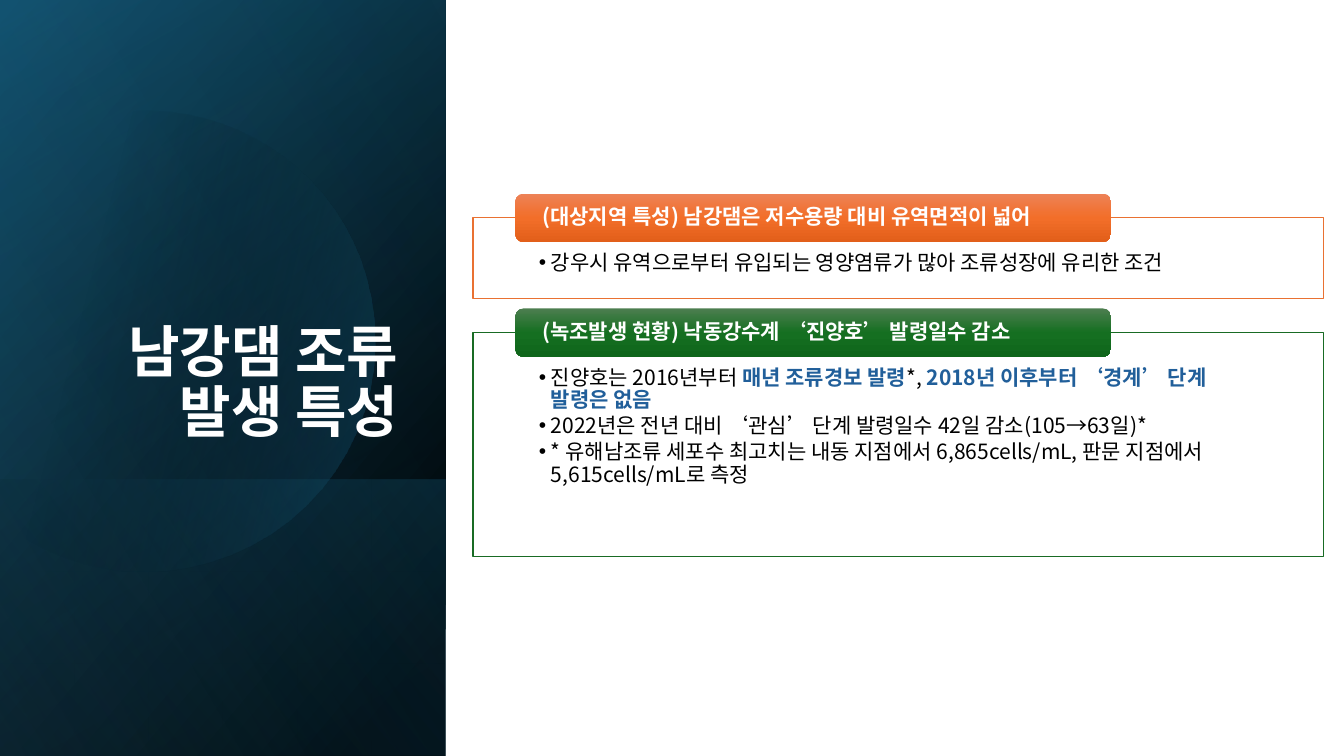
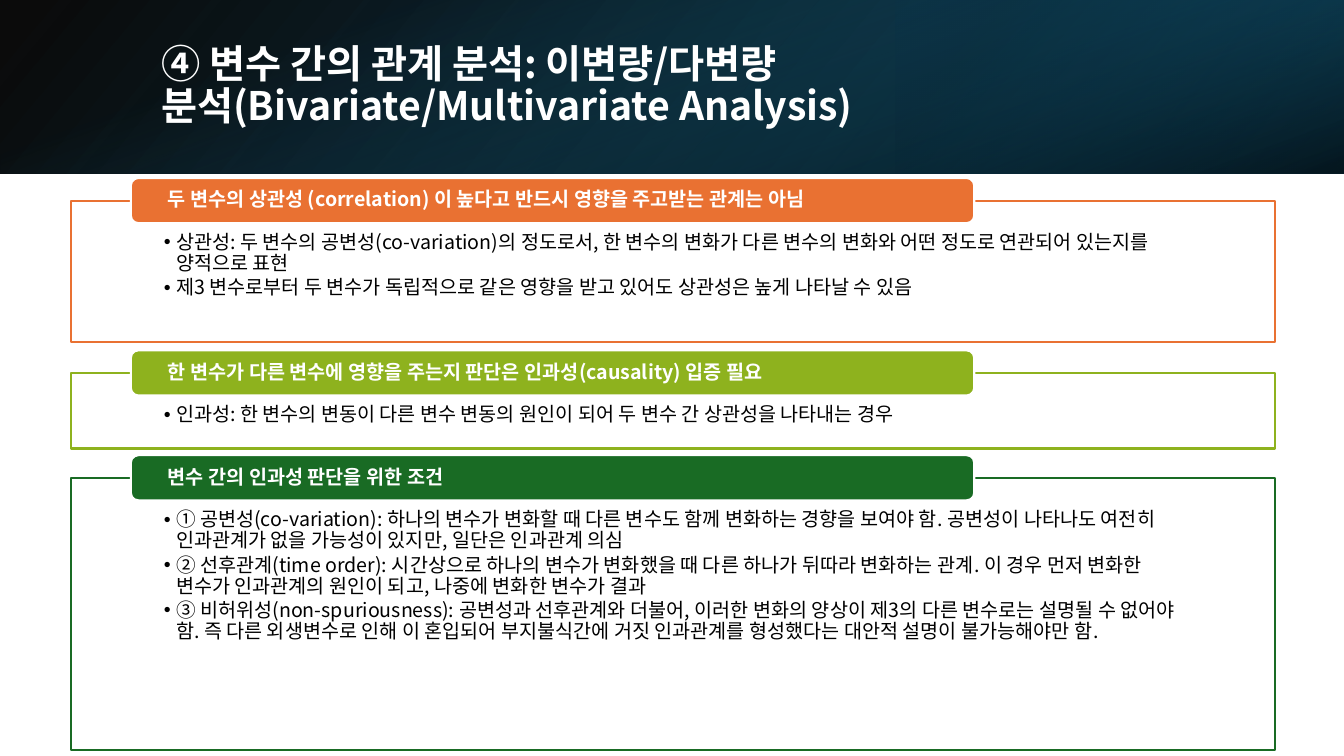
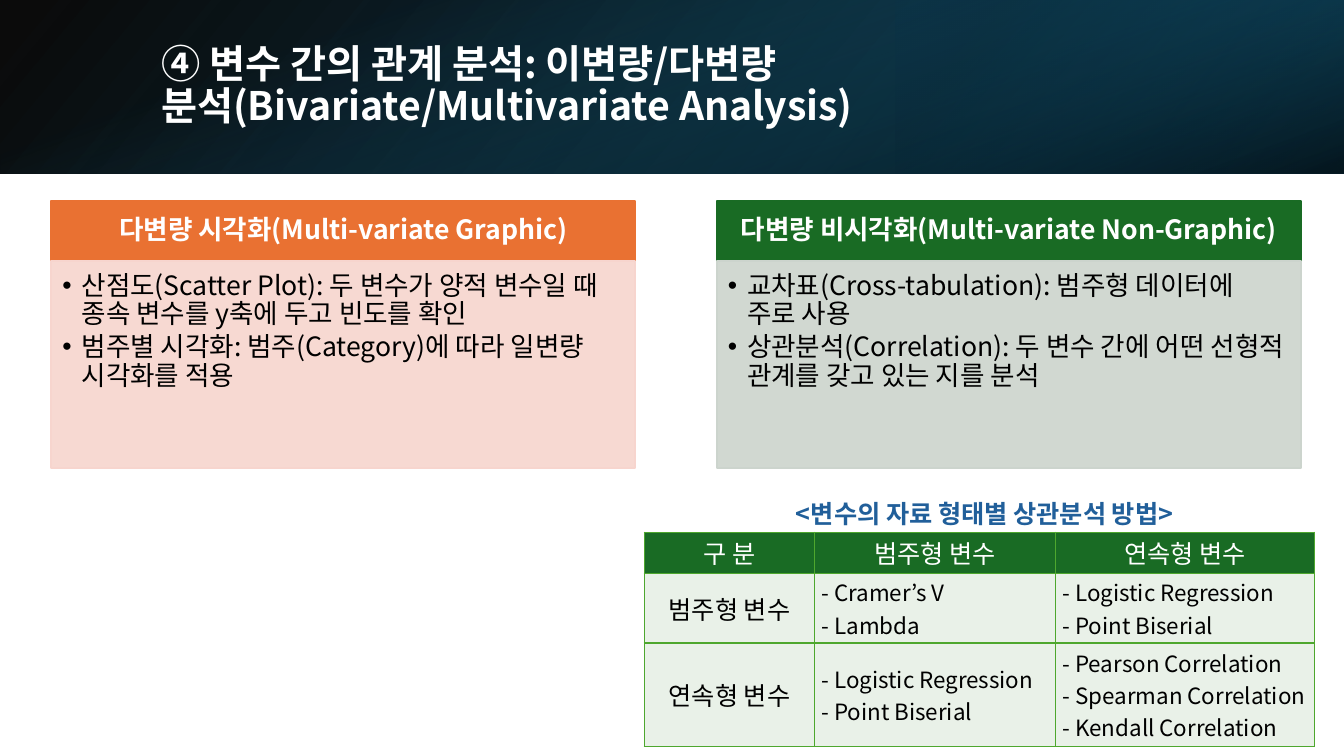
from lxml.etree import SubElement
from pptx import Presentation
from pptx.dml.color import RGBColor
from pptx.enum.shapes import MSO_SHAPE
from pptx.enum.text import MSO_ANCHOR, PP_ALIGN
from pptx.oxml.ns import qn
from pptx.util import Inches, Pt

FONT = "Noto Sans CJK KR"
WHITE, BLACK = "FFFFFF", "000000"
NAVY, TEAL, SKY, DEEP = "104862", "156082", "46B1E1", "0B3041"
ORANGE, LIME, GREEN, BLUE = "E97132", "8EB21E", "196B24", "215F9A"
PINK, SAGE, MINT, GRID = "F7D5CE", "CCD4CD", "E9F1E8", "4EA72E"
ORANGE_GLOSS = [(0, "ED8257"), (50, "F26E29"), (100, "E25F1A")]
GREEN_GLOSS = [(0, "4D7E50"), (50, "156F21"), (100, "0F661B")]

ANALYSIS_TITLE = "④ 변수 간의 관계 분석: 이변량/다변량 분석(Bivariate/Multivariate Analysis)"


def color(value):
    return RGBColor.from_string(value)


def style(span, size, tint, bold=False):
    font = span.font
    font.size, font.bold, font.name = Pt(size), bold, FONT
    font.color.rgb = color(tint)
    SubElement(span._r.get_or_add_rPr(), qn("a:ea"), typeface=FONT)


def set_insets(target, left, top, right, bottom):
    target.margin_left, target.margin_top = Inches(left), Inches(top)
    target.margin_right, target.margin_bottom = Inches(right), Inches(bottom)


def write(frame, paragraphs, size, tint, bold=False, align=PP_ALIGN.LEFT,
          anchor=MSO_ANCHOR.MIDDLE, insets=(0.1, 0.05, 0.1, 0.05), spacing=0.9,
          after=0, bullet=0):
    frame.word_wrap = True
    frame.vertical_anchor = anchor
    set_insets(frame, *insets)
    for index, content in enumerate(paragraphs):
        para = frame.paragraphs[0] if index == 0 else frame.add_paragraph()
        para.alignment, para.line_spacing = align, spacing
        para.space_after = Pt(after)
        if bullet:
            props = para._p.get_or_add_pPr()
            props.set("marL", str(Inches(bullet)))
            props.set("indent", str(-Inches(bullet)))
            SubElement(props, qn("a:buFont"), typeface="Arial")
            SubElement(props, qn("a:buChar"), char="•")
        pieces = [(content, False)] if isinstance(content, str) else content
        for text, marked in pieces:
            span = para.add_run()
            span.text = text
            style(span, size, BLUE if marked else tint, bold or marked)


def add_text(page, box, paragraphs, size, tint, **options):
    shape = page.shapes.add_textbox(*map(Inches, box))
    write(shape.text_frame, paragraphs, size, tint, **options)


def set_gradient(shape, stops, angle):
    shape.shadow.inherit = False
    shape.line.fill.background()
    shape.fill.background()
    props = shape._element.spPr
    gradient = SubElement(props, qn("a:gradFill"), rotWithShape="1")
    stop_list = SubElement(gradient, qn("a:gsLst"))
    for position, tint, *opacity in stops:
        stop = SubElement(stop_list, qn("a:gs"), pos=str(position * 1000))
        value = SubElement(stop, qn("a:srgbClr"), val=tint)
        if opacity:
            SubElement(value, qn("a:alpha"), val=str(opacity[0] * 1000))
    SubElement(gradient, qn("a:lin"), ang=str(round(angle * 60000)), scaled="0")
    props.replace(props.find(qn("a:noFill")), gradient)


def add_glow(page, box, stops, angle, turn=0, flip=True):
    left, top, width, height = box
    if turn == 90:
        left, top = left + (width - height) / 2, top + (height - width) / 2
        width, height = height, width
    shape = page.shapes.add_shape(
        MSO_SHAPE.RECTANGLE, Inches(left), Inches(top), Inches(width), Inches(height))
    shape.rotation = turn
    if flip:
        shape._element.spPr.xfrm.set("flipH", "1")
    set_gradient(shape, stops, angle)


def add_block(page, kind, box, fill, line=None, width=1.5, opacity=100):
    shape = page.shapes.add_shape(kind, *map(Inches, box))
    shape.shadow.inherit = False
    if isinstance(fill, list):
        set_gradient(shape, fill, 90)
        return shape
    shape.fill.solid()
    shape.fill.fore_color.rgb = color(fill)
    shape.line.fill.background()
    if line:
        shape.line.color.rgb = color(line)
        shape.line.width = Pt(width)
    if opacity < 100:
        value = shape._element.spPr.find(qn("a:solidFill")).find(qn("a:srgbClr"))
        SubElement(value, qn("a:alpha"), val=str(opacity * 1000))
    return shape


def curve_points(start, controls, steps=16):
    points = [start, *controls]
    for step in range(1, steps + 1):
        t = step / steps
        weights = ((1 - t) ** 3, 3 * t * (1 - t) ** 2, 3 * t * t * (1 - t), t ** 3)
        yield tuple(sum(w * p[axis] for w, p in zip(weights, points)) for axis in (0, 1))


def add_disc(page):
    start = (1.49, 1.1)
    right_arcs = [((2.46, 1.12), (3.35, 1.77), (3.63, 2.75)),
                  ((3.98, 3.97), (3.28, 5.23), (2.07, 5.58)),
                  ((1.31, 5.8), (0.53, 5.61), (-0.03, 5.14))]
    left_arcs = [((0.23, 1.42), (0.5, 1.28), (0.8, 1.19)),
                 ((1.03, 1.13), (1.26, 1.1), start)]
    outline = [start]
    for arc in right_arcs:
        outline += curve_points(outline[-1], arc)
    outline += [(-0.15, 5.03), (-0.15, 1.75), (0, 1.61)]
    for arc in left_arcs:
        outline += curve_points(outline[-1], arc)
    corners = [(Inches(x), Inches(y)) for x, y in outline]
    builder = page.shapes.build_freeform(*corners[0])
    builder.add_line_segments(corners[1:], close=True)
    set_gradient(builder.convert_to_shape(), [(29, BLACK, 0), (100, TEAL, 43)], 14)


def add_side_panel(page, box, title):
    left, top, width, height = box
    add_glow(page, box, [(8, BLACK), (100, NAVY)], 50, 90)
    add_glow(page, box, [(0, BLACK, 0), (99, TEAL, 46)], 30, 90)
    add_glow(page, (left, top + height - 2.74, width, 2.74),
             [(2, TEAL, 29), (100, BLACK, 30)], 130, 90)
    add_disc(page)
    add_glow(page, box, [(0, BLACK, 0), (99, SKY, 11)], 120, 90)
    add_text(page, (left + 0.64, top + 1.84, 3.41, 2.62), [title], 40, WHITE,
             bold=True, align=PP_ALIGN.RIGHT, anchor=MSO_ANCHOR.BOTTOM)


def add_title_band(page, box, title):
    left, top, width, height = box
    add_glow(page, box, [(0, BLACK, 96), (100, NAVY)], 140)
    add_glow(page, (left + width * 2 / 3, top, width / 3, height),
             [(19, DEEP, 68), (100, TEAL, 79)], 320, 180)
    add_glow(page, box, [(23, TEAL, 0), (99, BLACK, 74)], 340, 90, flip=False)
    add_text(page, (left + 1.5, top + 0.38, 10.98, 0.96), [title], 28, WHITE, bold=True)


def add_section(page, box, heading, bullets, accent, size, tab_fill=None, line_width=1.5):
    left, top, width, height = box
    side, tab_height = width * 0.0775, size * 0.032
    frame = add_block(page, MSO_SHAPE.RECTANGLE, box, WHITE, accent, line_width, 90)
    write(frame.text_frame, bullets, size, BLACK, anchor=MSO_ANCHOR.TOP,
          insets=(side, size * 0.0227, side, 0.11), after=size * 0.15, bullet=0.12)
    tab = add_block(page, MSO_SHAPE.ROUNDED_RECTANGLE,
                    (left + width * 0.05, top - tab_height / 2, width * 0.7, tab_height),
                    tab_fill or accent, WHITE)
    write(tab.text_frame, [heading], size, WHITE, bold=True,
          insets=(width * 0.029, 0, width * 0.029, 0))


def add_card(page, box, heading, bullets, accent, tint):
    left, top, width, height = box
    head_height = 0.6
    head = add_block(page, MSO_SHAPE.RECTANGLE, (left, top, width, head_height), accent, accent)
    write(head.text_frame, [heading], 19, WHITE, bold=True, align=PP_ALIGN.CENTER,
          insets=(0.15, 0.08, 0.15, 0.08))
    body = add_block(page, MSO_SHAPE.RECTANGLE,
                     (left, top + head_height, width, height - head_height), tint, tint,
                     opacity=90)
    write(body.text_frame, bullets, 19, BLACK, anchor=MSO_ANCHOR.TOP,
          insets=(0.11, 0.11, 0.15, 0.17), after=2.85, bullet=0.19)


def set_borders(cell, tint, width):
    props = cell._tc.get_or_add_tcPr()
    for index, side in enumerate(("a:lnL", "a:lnR", "a:lnT", "a:lnB")):
        line = props.makeelement(qn(side), {"w": str(Pt(width))})
        SubElement(SubElement(line, qn("a:solidFill")), qn("a:srgbClr"), val=tint)
        props.insert(index, line)


def add_method_table(page, box, rows, column_widths, row_heights):
    table = page.shapes.add_table(len(rows), len(rows[0]), *map(Inches, box)).table
    table.first_row = table.horz_banding = False
    for column, width in zip(table.columns, column_widths):
        column.width = Inches(width)
    for row, height in zip(table.rows, row_heights):
        row.height = Inches(height)
    for row_index, row in enumerate(rows):
        for column_index, content in enumerate(row):
            cell = table.cell(row_index, column_index)
            header = row_index == 0
            label = header or column_index == 0
            cell.fill.solid()
            cell.fill.fore_color.rgb = color(GREEN if header else MINT)
            cell.vertical_anchor = MSO_ANCHOR.MIDDLE
            set_insets(cell, 0.07, 0.02, 0.07, 0.02)
            set_borders(cell, GRID, 1)
            cell.text = content
            for para in cell.text_frame.paragraphs:
                para.alignment = PP_ALIGN.CENTER if label else PP_ALIGN.LEFT
                for span in para.runs:
                    style(span, 18 if label else 16, WHITE if header else BLACK)


def build_dam_page(page):
    add_side_panel(page, (0, 0, 4.42, 7.5), "남강댐 조류 발생 특성")
    add_section(page, (4.69, 2.16, 8.44, 0.8),
                "(대상지역 특성) 남강댐은 저수용량 대비 유역면적이 넓어",
                ["강우시 유역으로부터 유입되는 영양염류가 많아 조류성장에 유리한 조건"],
                ORANGE, 15, ORANGE_GLOSS, 1)
    add_section(page, (4.69, 3.3, 8.44, 2.22),
                "(녹조발생 현황) 낙동강수계 ‘진양호’ 발령일수 감소",
                [[("진양호는 2016년부터 ", False), ("매년 조류경보 발령", True), ("*, ", False),
                  ("2018년 이후부터 ‘경계’ 단계 발령은 없음", True)],
                 "2022년은 전년 대비 ‘관심’ 단계 발령일수 42일 감소(105→63일)*",
                 "* 유해남조류 세포수 최고치는 내동 지점에서 6,865cells/mL, "
                 "판문 지점에서 5,615cells/mL로 측정"],
                GREEN, 15, GREEN_GLOSS, 1)


def build_causality_page(page):
    add_title_band(page, (0, 0, 13.33, 1.72), ANALYSIS_TITLE)
    sections = [
        (1.99, 1.4, ORANGE,
         "두 변수의 상관성 (correlation) 이 높다고 반드시 영향을 주고받는 관계는 아님",
         ["상관성: 두 변수의 공변성(co-variation)의 정도로서, 한 변수의 변화가 다른 변수의 "
          "변화와 어떤 정도로 연관되어 있는지를 양적으로 표현",
          "제3 변수로부터 두 변수가 독립적으로 같은 영향을 받고 있어도 상관성은 높게 나타날 수 있음"]),
        (3.7, 0.75, LIME,
         "한 변수가 다른 변수에 영향을 주는지 판단은 인과성(causality) 입증 필요",
         ["인과성: 한 변수의 변동이 다른 변수 변동의 원인이 되어 두 변수 간 상관성을 나타내는 경우"]),
        (4.74, 2.7, GREEN,
         "변수 간의 인과성 판단을 위한 조건",
         ["① 공변성(co-variation): 하나의 변수가 변화할 때 다른 변수도 함께 변화하는 경향을 "
          "보여야 함. 공변성이 나타나도 여전히 인과관계가 없을 가능성이 있지만, 일단은 인과관계 의심",
          "② 선후관계(time order): 시간상으로 하나의 변수가 변화했을 때 다른 하나가 뒤따라 변화하는 "
          "관계. 이 경우 먼저 변화한 변수가 인과관계의 원인이 되고, 나중에 변화한 변수가 결과",
          "③ 비허위성(non-spuriousness): 공변성과 선후관계와 더불어, 이러한 변화의 양상이 제3의 "
          "다른 변수로는 설명될 수 없어야 함. 즉 다른 외생변수로 인해 이 혼입되어 부지불식간에 거짓 "
          "인과관계를 형성했다는 대안적 설명이 불가능해야만 함."]),
    ]
    for top, height, accent, heading, bullets in sections:
        add_section(page, (0.7, top, 11.95, height), heading, bullets, accent, 14)


def build_method_page(page):
    add_title_band(page, (0, 0, 13.33, 1.72), ANALYSIS_TITLE)
    add_card(page, (0.51, 1.99, 5.79, 2.65), "다변량 시각화(Multi-variate Graphic)",
             ["산점도(Scatter Plot): 두 변수가 양적 변수일 때 종속 변수를 y축에 두고 빈도를 확인",
              "범주별 시각화: 범주(Category)에 따라 일변량 시각화를 적용"], ORANGE, PINK)
    add_card(page, (7.11, 1.99, 5.79, 2.65), "다변량 비시각화(Multi-variate Non-Graphic)",
             ["교차표(Cross-tabulation): 범주형 데이터에 주로 사용",
              "상관분석(Correlation): 두 변수 간에 어떤 선형적 관계를 갖고 있는 지를 분석"],
             GREEN, SAGE)
    mixed = "- Logistic Regression\n- Point Biserial"
    add_method_table(page, (6.39, 5.28, 6.65, 2.13), [
        ["구 분", "범주형 변수", "연속형 변수"],
        ["범주형 변수", "- Cramer’s V\n- Lambda", mixed],
        ["연속형 변수", mixed,
         "- Pearson Correlation\n- Spearman Correlation\n- Kendall Correlation"],
    ], (1.69, 2.39, 2.57), (0.41, 0.69, 1.03))
    add_text(page, (6.99, 4.71, 5.55, 0.53), ["<변수의 자료 형태별 상관분석 방법>"], 18, BLUE,
             bold=True, align=PP_ALIGN.CENTER, anchor=MSO_ANCHOR.TOP, spacing=1.6)


def main():
    deck = Presentation()
    deck.slide_width, deck.slide_height = Inches(13.33), Inches(7.5)
    for build in (build_dam_page, build_causality_page, build_method_page):
        build(deck.slides.add_slide(deck.slide_layouts[6]))
    deck.save("out.pptx")


if __name__ == "__main__":
    main()
